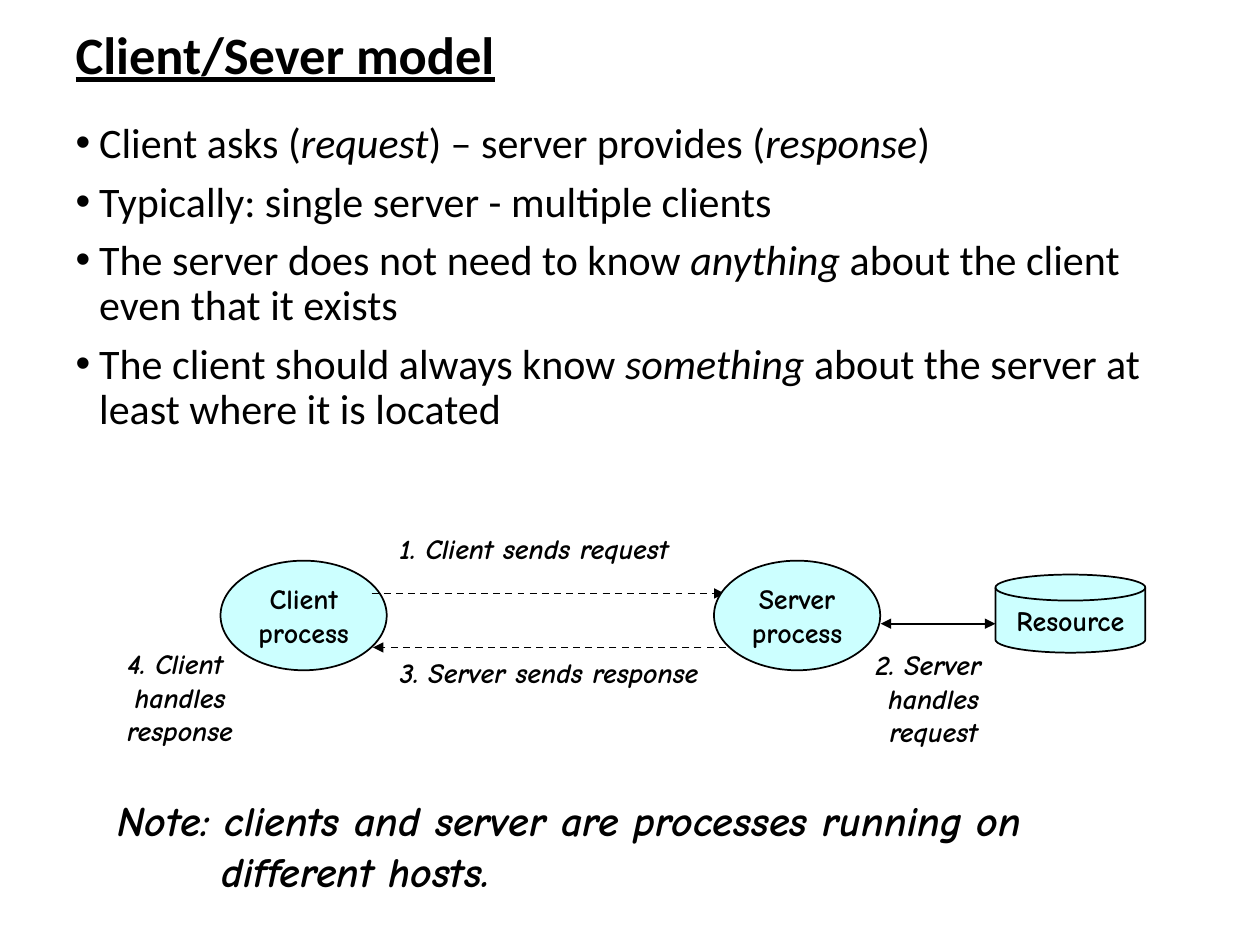
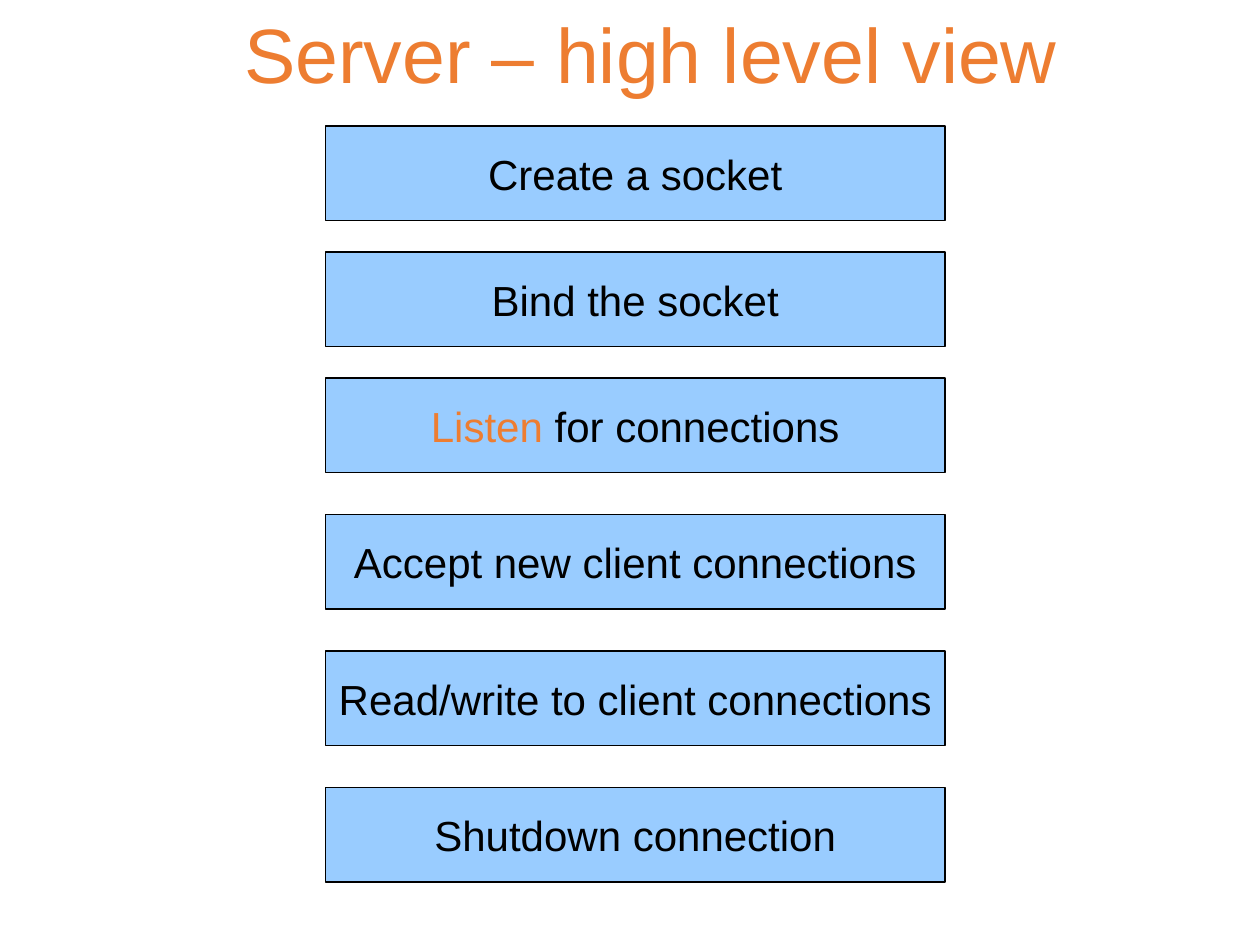
from lxml.etree import SubElement
from pptx import Presentation
from pptx.dml.color import RGBColor
from pptx.enum.dml import MSO_LINE
from pptx.enum.shapes import MSO_CONNECTOR, MSO_SHAPE
from pptx.enum.text import MSO_ANCHOR, MSO_AUTO_SIZE, PP_ALIGN
from pptx.oxml.ns import qn
from pptx.util import Pt

BLACK, ORANGE = "000000", "ED7D31"
PALE_CYAN, LIGHT_BLUE = "CCFFFF", "99CCFF"

HEADING = dict(name="Calibri", size=Pt(30), bold=True, underline=True, color=BLACK)
BULLET = dict(name="Calibri", size=Pt(24), color=BLACK)
NODE = dict(name="Comic Neue", size=Pt(16), bold=True, color=BLACK)
LABEL = NODE | dict(italic=True)
NOTE = LABEL | dict(size=Pt(24))
BIG_TITLE = dict(name="Arial", size=Pt(44), color=ORANGE)
STEP = dict(name="Arial", size=Pt(24), color=BLACK)


def rgb(value):
    return RGBColor.from_string(value)


def format_font(font, style):
    for key, value in style.items():
        if key == "color":
            font.color.rgb = rgb(value)
        else:
            setattr(font, key, value)


def write(frame, lines, style, emphasis=None, align=PP_ALIGN.CENTER, **para_format):
    """Fill the frame, one paragraph a line; parts between asterisks get the emphasis."""
    for number, line in enumerate(lines):
        para = frame.paragraphs[0] if number == 0 else frame.add_paragraph()
        para.alignment = align
        for key, value in para_format.items():
            setattr(para, key, value)
        if number == 0:
            para.space_before = Pt(0)
        for part, text in enumerate(line.split("*")):
            if text:
                span = para.add_run()
                span.text = text
                format_font(span.font, style | (emphasis or {}) if part % 2 else style)


def place(box, left, top, width, height):
    box.left, box.top, box.width, box.height = map(Pt, (left, top, width, height))


def add_title(page, text, area, style, align):
    title = page.shapes.title
    place(title, *area)
    title.text_frame.auto_size = MSO_AUTO_SIZE.NONE
    title.text_frame.vertical_anchor = MSO_ANCHOR.MIDDLE
    write(title.text_frame, [text], style, align=align, line_spacing=0.9)


def add_bullets(page, lines, area):
    body = page.placeholders[1]
    place(body, *area)
    body.text_frame.auto_size = MSO_AUTO_SIZE.NONE
    write(body.text_frame, lines, BULLET, dict(italic=True), PP_ALIGN.LEFT,
          line_spacing=0.9, space_before=Pt(7.5))
    for para in body.text_frame.paragraphs:
        properties = para._p.get_or_add_pPr()
        properties.set("marL", str(Pt(13.5)))
        properties.set("indent", str(Pt(-13.5)))


def add_node(page, kind, area, lines, style, fill, line_width=1, emphasis=None):
    shape = page.shapes.add_shape(kind, *map(Pt, area))
    shape.shadow.inherit = False
    shape.fill.solid()
    shape.fill.fore_color.rgb = rgb(fill)
    shape.line.color.rgb = rgb(BLACK)
    shape.line.width = Pt(line_width)
    shape.text_frame.word_wrap = False
    shape.text_frame.vertical_anchor = MSO_ANCHOR.MIDDLE
    write(shape.text_frame, lines, style, emphasis)


def add_label(page, area, lines):
    box = page.shapes.add_textbox(*map(Pt, area))
    box.text_frame.word_wrap = False
    box.text_frame.vertical_anchor = MSO_ANCHOR.MIDDLE
    write(box.text_frame, lines, LABEL)


def add_note(page, area, lines, hanging):
    """Add a wrapped note whose lines after the first are indented."""
    box = page.shapes.add_textbox(*map(Pt, area))
    box.text_frame.word_wrap = True
    write(box.text_frame, lines, NOTE, align=PP_ALIGN.LEFT)
    for para in box.text_frame.paragraphs[1:]:
        para._p.get_or_add_pPr().set("marL", str(Pt(hanging)))


def add_arrow(page, start, end, y, dashed=False, both_ends=False):
    arrow = page.shapes.add_connector(MSO_CONNECTOR.STRAIGHT, *map(Pt, (start, y, end, y)))
    arrow.line.color.rgb = rgb(BLACK)
    arrow.line.width = Pt(1)
    if dashed:
        arrow.line.dash_style = MSO_LINE.DASH
    line = arrow.line._get_or_add_ln()
    for tag in ("a:headEnd", "a:tailEnd") if both_ends else ("a:tailEnd",):
        SubElement(line, qn(tag), type="triangle")
    SubElement(arrow._element.spPr, qn("a:effectLst"))


def build_model_page(deck):
    page = deck.slides.add_slide(deck.slide_layouts[1])
    add_title(page, "Client/Sever model", (36, 11.5, 648, 42.5), HEADING, PP_ALIGN.LEFT)
    add_bullets(page, [
        "Client asks (*request*) – server provides (*response*)",
        "Typically: single server - multiple clients",
        "The server does not need to know *anything* about the client even that it exists",
        "The client should always know *something* about the server at least where it is located",
    ], (36, 66.25, 648, 356.4))

    process_top, process_size = 320.4, (95, 62.64)
    add_node(page, MSO_SHAPE.OVAL, (126, process_top, *process_size),
             ["Client", "process"], NODE, PALE_CYAN)
    add_arrow(page, 212.4, 414, 339.12, dashed=True)
    add_node(page, MSO_SHAPE.OVAL, (408, process_top, *process_size),
             ["Server", "process"], NODE, PALE_CYAN)
    add_arrow(page, 414.72, 213.12, 370, dashed=True)
    add_arrow(page, 503.28, 568.8, 356.4, both_ends=True)
    add_node(page, MSO_SHAPE.FLOWCHART_MAGNETIC_DISK, (568.8, 328.3, 85.7, 44.64),
             ["Resource"], NODE, PALE_CYAN)

    add_label(page, (221, 300.2, 168.5, 26.6), ["1. Client sends request"])
    add_label(page, (493.2, 366.5, 80.6, 64.8), ["2. Server ", "handles", "request"])
    add_label(page, (221, 370.8, 185.8, 26.6), ["3. Server sends response"])
    add_label(page, (65.5, 365.8, 74.9, 64.8), ["4. Client ", "handles", "response"])
    add_note(page, (60, 450.7, 600, 64.8),
             ["Note: clients and server are processes running on", "different hosts."], 59.5)


def build_server_page(deck):
    page = deck.slides.add_slide(deck.slide_layouts[5])
    add_title(page, "Server – high level view", (12, 0, 720, 60), BIG_TITLE, PP_ALIGN.CENTER)
    page.shapes.title.text_frame.paragraphs[0].line_spacing = 1.0
    steps = ["Create a socket", "Bind the socket", "*Listen* for connections",
             "Accept new client connections", "Read/write to client connections",
             "Shutdown connection"]
    for number, step in enumerate(steps):
        top = 72 + 72 * number + 6 * max(0, number - 2)  # wider gaps after listening
        add_node(page, MSO_SHAPE.RECTANGLE, (186, top, 354, 54), [step], STEP,
                 LIGHT_BLUE, 0.75, dict(color=ORANGE))


def main():
    deck = Presentation()
    deck.slide_width, deck.slide_height = Pt(720), Pt(540)
    build_model_page(deck)
    build_server_page(deck)
    deck.save("out.pptx")


if __name__ == "__main__":
    main()
